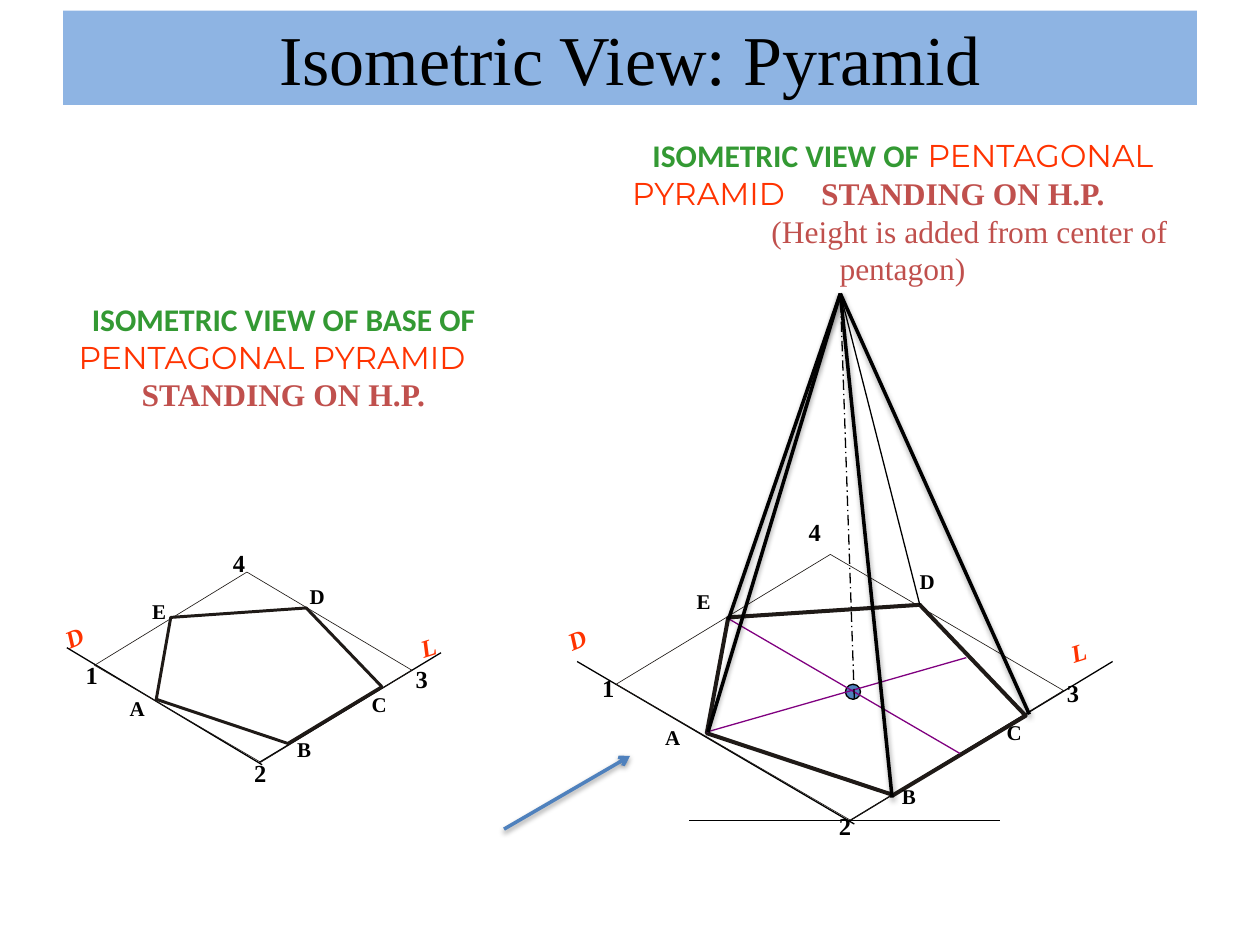
import dataclasses

import lxml.etree
import pptx
import pptx.dml.color
import pptx.enum.dml
import pptx.enum.shapes
import pptx.enum.text
import pptx.oxml.ns
import pptx.util

Pt = pptx.util.Pt
qn = pptx.oxml.ns.qn


@dataclasses.dataclass(frozen=True)
class Theme:
    banner: str = "8EB4E3"
    black: str = "000000"
    ink: str = "1F1A17"
    red: str = "FF3300"
    green: str = "339933"
    brick: str = "C0504D"
    blue: str = "4F81BD"
    purple: str = "800080"
    serif: str = "Times New Roman"
    sans: str = "Calibri"
    display: str = "Montserrat"
    title_size: float = 40
    heading_size: float = 18
    corner_size: float = 14
    vertex_size: float = 12
    hairline: float = 0.38
    thin: float = 0.75
    thick: float = 2


THEME = Theme()
GREEN = (THEME.sans, THEME.green, True)
RED = (THEME.display, THEME.red, False)
BRICK_BOLD = (THEME.serif, THEME.brick, True)
BRICK = (THEME.serif, THEME.brick, False)

PYRAMID_BASE = {
    "axes": [((488.2, 470.9), (329.8, 378)), ((486, 468.7), (635.8, 378))],
    "axis_labels": [("D", 317.5, 353.5, 337.4), ("L", 604.8, 360.7, 342.6)],
    "frame": [(352.1, 391), (474.5, 316.8), (607.7, 394.6), (486, 468.7)],
    "corners": [("1", 337, 380.9), ("2", 472.3, 460.1), ("3", 602.6, 383.8), ("4", 455, 291.6)],
    "pentagon": [(403.9, 419), (510.5, 454.3), (586.1, 409), (525.6, 345.6), (416.2, 352.8)],
    "vertices": [("A", 373, 410.4), ("B", 508.3, 444.2), ("C", 568.1, 407.5),
                 ("D", 518.4, 321.1), ("E", 391, 332.6)],
    "weight": 2.3,
}
PLAIN_BASE = {
    "axes": [((149.8, 437), (38.2, 370.1)), ((148.3, 435.6), (252, 373))],
    "axis_labels": [("D", 30.2, 352.1, 337.4), ("L", 233.3, 357.8, 342.6)],
    "frame": [(54, 380.2), (141.1, 326.9), (235.4, 383), (149, 435.6)],
    "corners": [("1", 41.8, 373.7), ("2", 138.2, 429.8), ("3", 230.4, 375.8), ("4", 126, 309.6)],
    "pentagon": [(89.3, 399.6), (164.5, 424.8), (218.2, 392.4), (175, 347.4), (97.6, 352.8)],
    "vertices": [("A", 67, 393.8), ("B", 162.7, 417.6), ("C", 205.2, 391.7),
                 ("D", 169.9, 329.8), ("E", 79.9, 338.4)],
    "weight": 1.7,
}


def rgb(color):
    return pptx.dml.color.RGBColor.from_string(color)


def format_font(font, name, size, color, bold=False, italic=False):
    font.name = name
    font.size = Pt(size)
    font.color.rgb = rgb(color)
    font.bold = bold
    font.italic = italic


def add_title(slide, text):
    title = slide.shapes.title
    title.left, title.top, title.width, title.height = Pt(36), Pt(6), Pt(648), Pt(54)
    title.fill.solid()
    title.fill.fore_color.rgb = rgb(THEME.banner)
    title.text_frame.text = text
    title.text_frame.vertical_anchor = pptx.enum.text.MSO_ANCHOR.MIDDLE
    paragraph = title.text_frame.paragraphs[0]
    paragraph.alignment = pptx.enum.text.PP_ALIGN.CENTER
    format_font(paragraph.runs[0].font, THEME.serif, THEME.title_size, THEME.black)


def add_line(shapes, start, end, color=THEME.black, width=THEME.thin,
             dash=None, shadow=False, arrow=False):
    points = [Pt(value) for value in (*start, *end)]
    connector = shapes.add_connector(pptx.enum.shapes.MSO_CONNECTOR.STRAIGHT, *points)
    connector.line.color.rgb = rgb(color)
    connector.line.width = Pt(width)
    if dash:
        connector.line.dash_style = dash
    if arrow:
        lxml.etree.SubElement(connector.line._get_or_add_ln(), qn("a:tailEnd"), type="arrow")
    effects = lxml.etree.SubElement(connector._element.spPr, qn("a:effectLst"))
    if shadow:
        outer = lxml.etree.SubElement(
            effects, qn("a:outerShdw"), blurRad=str(Pt(3.15)), dist=str(Pt(1.57)),
            dir="5400000", rotWithShape="0")
        tint = lxml.etree.SubElement(outer, qn("a:srgbClr"), val=THEME.black)
        lxml.etree.SubElement(tint, qn("a:alpha"), val="38000")


def add_outline(shapes, points, width):
    start, *rest = [(Pt(x), Pt(y)) for x, y in points]
    builder = shapes.build_freeform(*start, scale=1.0)
    builder.add_line_segments(rest, close=True)
    shape = builder.convert_to_shape()
    shape.shadow.inherit = False
    shape.fill.background()
    shape.line.color.rgb = rgb(THEME.ink)
    shape.line.width = Pt(width)


def add_label(shapes, text, left, top, size, color=THEME.black, rotation=0, italic=False):
    box = shapes.add_textbox(Pt(left), Pt(top), Pt(size + 9), Pt(size * 1.2 + 7.2))
    box.rotation = rotation
    box.text_frame.word_wrap = False
    box.text_frame.text = text
    run = box.text_frame.paragraphs[0].runs[0]
    format_font(run.font, THEME.serif, size, color, bold=True, italic=italic)


def add_base(slide, base):
    axes = slide.shapes.add_group_shape().shapes
    for text, left, top, rotation in base["axis_labels"]:
        add_label(axes, text, left, top, THEME.corner_size, THEME.red, rotation, italic=True)
    for start, end in base["axes"]:
        add_line(axes, start, end)
    frame = slide.shapes.add_group_shape().shapes
    add_outline(frame, base["frame"], THEME.hairline)
    for text, left, top in base["corners"]:
        add_label(frame, text, left, top, THEME.corner_size)
    pentagon = slide.shapes.add_group_shape().shapes
    add_outline(pentagon, base["pentagon"], base["weight"])
    for text, left, top in base["vertices"]:
        add_label(pentagon, text, left, top, THEME.vertex_size)


def add_pyramid(slide):
    shapes = slide.shapes
    apex = (480.2, 167.8)
    add_line(shapes, (393.8, 468.7), (571.7, 468.7))
    center = shapes.add_shape(pptx.enum.shapes.MSO_SHAPE.OVAL,
                              Pt(483.1), Pt(391), Pt(8.6), Pt(8.6))
    center.shadow.inherit = False
    center.fill.solid()
    center.fill.fore_color.rgb = rgb(THEME.blue)
    center.line.color.rgb = rgb(THEME.black)
    center.line.width = Pt(THEME.thin)
    for start, end in [((403.9, 418.3), (552.2, 375.8)), ((416.2, 353.5), (548.6, 430.6))]:
        add_line(shapes, start, end, THEME.purple)
    add_line(shapes, (488.2, 399.6), apex, dash=pptx.enum.dml.MSO_LINE.LONG_DASH_DOT)
    for foot in [(416.2, 354.2), (404.6, 418.3), (509.8, 455.8), (588.2, 408.2)]:
        add_line(shapes, foot, apex, width=THEME.thick, shadow=True)
    add_line(shapes, apex, (525.6, 345.6))


def add_heading(slide, left, top, height, lines):
    box = slide.shapes.add_textbox(Pt(left), Pt(top), Pt(324), Pt(height))
    frame = box.text_frame
    frame.word_wrap = True
    for index, (indent, tab, runs) in enumerate(lines):
        paragraph = frame.paragraphs[0] if index == 0 else frame.add_paragraph()
        properties = paragraph._p.get_or_add_pPr()
        properties.set("marL", str(Pt(indent)))
        properties.set("indent", "0")
        if tab:
            tabs = lxml.etree.SubElement(properties, qn("a:tabLst"))
            lxml.etree.SubElement(tabs, qn("a:tab"), pos=str(Pt(tab)), algn="l")
        for text, (name, color, bold) in runs:
            run = paragraph.add_run()
            run.text = text
            format_font(run.font, name, THEME.heading_size, color, bold)


def main():
    presentation = pptx.Presentation()
    presentation.slide_width, presentation.slide_height = Pt(720), Pt(540)
    slide = presentation.slides.add_slide(presentation.slide_layouts[5])
    add_title(slide, "Isometric View: Pyramid")
    add_base(slide, PYRAMID_BASE)
    add_pyramid(slide)
    add_base(slide, PLAIN_BASE)
    add_heading(slide, 354.2, 74.2, 93.6, [
        (11.6, None, [("ISOMETRIC VIEW OF", GREEN), (" PENTAGONAL", RED)]),
        (0, 106, [("PYRAMID\t", RED), ("STANDING ON H.P.", BRICK_BOLD)]),
        (79.6, None, [("(Height is added from center of", BRICK)]),
        (118.5, None, [("pentagon)", BRICK)]),
    ])
    add_heading(slide, 0, 167.8, 72, [
        (45.4, None, [("ISOMETRIC VIEW OF BASE OF", GREEN)]),
        (37.9, None, [("PENTAGONAL PYRAMID", RED)]),
        (73.9, None, [("STANDING ON H.P.", BRICK_BOLD)]),
    ])
    add_line(slide.shapes, (288, 473.8), (360, 432), THEME.blue, THEME.thick,
             shadow=True, arrow=True)
    presentation.save("out.pptx")


if __name__ == "__main__":
    main()
